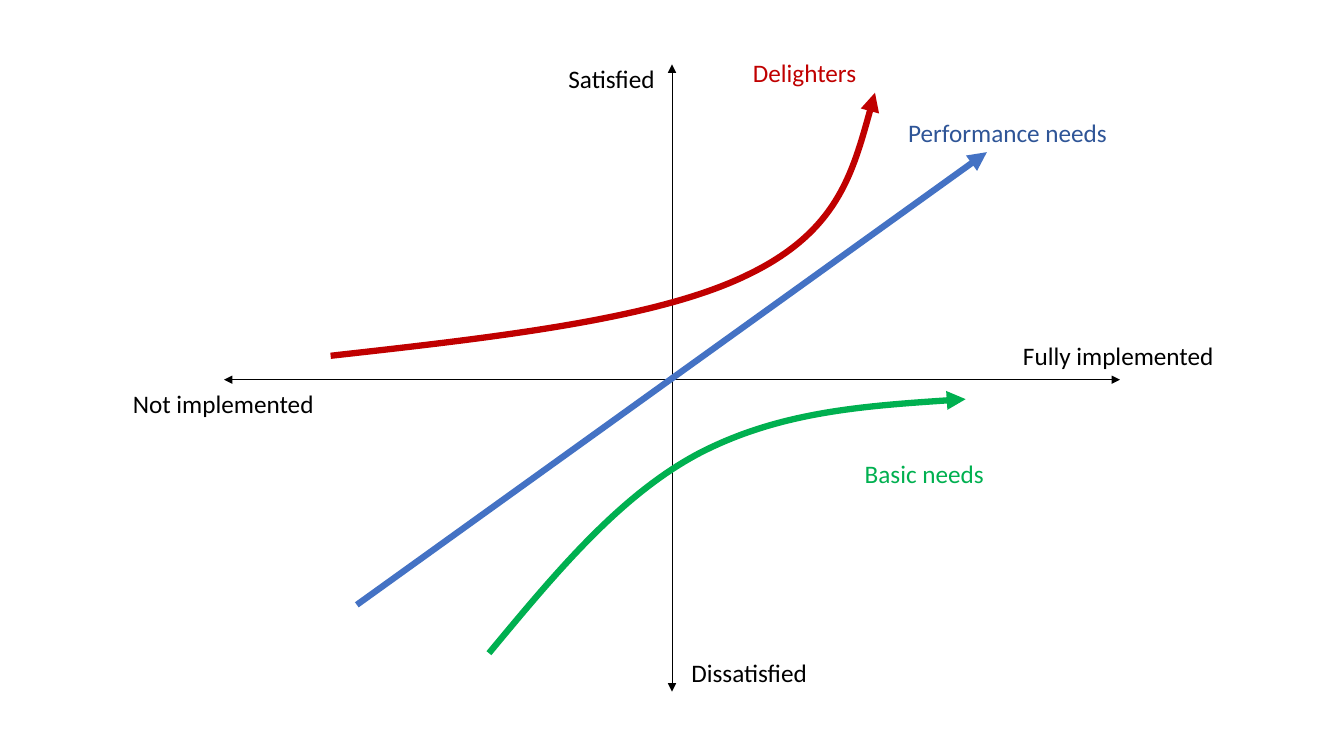
"""Build a slide that relates implementation of needs to satisfaction."""
from dataclasses import dataclass

from lxml import etree
from pptx import Presentation
from pptx.dml.color import RGBColor
from pptx.enum.shapes import MSO_CONNECTOR
from pptx.enum.text import MSO_AUTO_SIZE
from pptx.oxml.ns import qn
from pptx.util import Inches, Pt

STRAIGHT = MSO_CONNECTOR.STRAIGHT
FIT_SHAPE = MSO_AUTO_SIZE.SHAPE_TO_FIT_TEXT
WIDTH, HEIGHT = Inches(13.33), Inches(7.5)
BLANK_LAYOUT = 6
LABEL_HEIGHT = 5.38


@dataclass(frozen=True)
class Theme:
    """Colours, font and sizes of the slide."""
    ink: str = "000000"
    delight: str = "C00000"
    performance: str = "4472C4"
    performance_text: str = "2F5597"
    basic: str = "00B050"
    font: str = "Calibri"
    text_size: float = 18
    axis_width: float = 0.5
    need_width: float = 4.5


THEME = Theme()

AXES = [
    ((16.67, 50.23), (83.33, 50.23)),
    ((50, 91.47), (50, 8.53)),
]
PERFORMANCE_LINE = ((26.55, 80), (73.43, 20.13))
CURVES = [
    (THEME.delight, [
        (24.6, 47.07), (36.68, 44.67), (48.83, 42.27), (55.58, 36.4),
        (62.33, 30.67), (63.68, 21.47), (65.1, 12.27)]),
    (THEME.basic, [
        (36.38, 86.4), (41.25, 76), (46.05, 65.6), (51.98, 60),
        (57.9, 54.53), (64.88, 53.6), (71.85, 52.8)]),
]
LABELS = [
    ("Satisfied", 41.55, 7.73, 8.03, THEME.ink),
    ("Dissatisfied", 50.7, 86.23, 10.2, THEME.ink),
    ("Not implemented", 9.15, 50.75, 15.15, THEME.ink),
    ("Fully implemented", 75.38, 44.4, 15.83, THEME.ink),
    ("Performance needs", 66.83, 14.8, 16.5, THEME.performance_text),
    ("Delighters", 55.28, 6.93, 9.3, THEME.delight),
    ("Basic needs", 63.6, 60, 10.5, THEME.basic),
]


def across(percent):
    """Return a share of the slide's width."""
    return round(WIDTH * percent / 100)


def down(percent):
    """Return a share of the slide's height."""
    return round(HEIGHT * percent / 100)


def place(point):
    """Return a point given in percent as slide lengths."""
    return across(point[0]), down(point[1])


def style_line(line, color, width, ends):
    """Set colour, width and triangular ends of a line."""
    line.color.rgb = RGBColor.from_string(color)
    line.width = Pt(width)
    for end in ends:
        etree.SubElement(line._get_or_add_ln(), qn(f"a:{end}"), type="triangle")


def add_arrow(page, start, finish, color, width, ends):
    """Draw a straight arrow between two points."""
    arrow = page.shapes.add_connector(STRAIGHT, *place(start), *place(finish))
    style_line(arrow.line, color, width, ends)
    etree.SubElement(arrow._element.spPr, qn("a:effectLst"))


def add_curve(page, points, color):
    """Draw an open curve through triples of Bezier points."""
    start, *others = [place(point) for point in points]
    builder = page.shapes.build_freeform(*start)
    builder.add_line_segments(others, close=False)
    curve = builder.convert_to_shape()
    segments = list(curve._element.iter(qn("a:lnTo")))
    for first in range(0, len(segments), 3):
        bend = etree.SubElement(segments[first].getparent(), qn("a:cubicBezTo"))
        for segment in segments[first:first + 3]:
            bend.append(segment[0])
            segment.getparent().remove(segment)
    curve.fill.background()
    curve.shadow.inherit = False
    style_line(curve.line, color, THEME.need_width, ["tailEnd"])


def add_label(page, text, left, top, width, color):
    """Add a one-line label."""
    box = page.shapes.add_textbox(
        across(left), down(top), across(width), down(LABEL_HEIGHT))
    box.text_frame.word_wrap = False
    box.text_frame.auto_size = FIT_SHAPE
    span = box.text_frame.paragraphs[0].add_run()
    span.text = text
    span.font.name = THEME.font
    span.font.size = Pt(THEME.text_size)
    span.font.color.rgb = RGBColor.from_string(color)


def main():
    """Build and save the deck."""
    deck = Presentation()
    deck.slide_width, deck.slide_height = WIDTH, HEIGHT
    page = deck.slides.add_slide(deck.slide_layouts[BLANK_LAYOUT])
    for start, finish in AXES:
        add_arrow(page, start, finish, THEME.ink, THEME.axis_width,
                  ["headEnd", "tailEnd"])
    add_arrow(page, *PERFORMANCE_LINE, THEME.performance, THEME.need_width,
              ["tailEnd"])
    for color, points in CURVES:
        add_curve(page, points, color)
    for label in LABELS:
        add_label(page, *label)
    deck.save("out.pptx")


if __name__ == "__main__":
    main()
